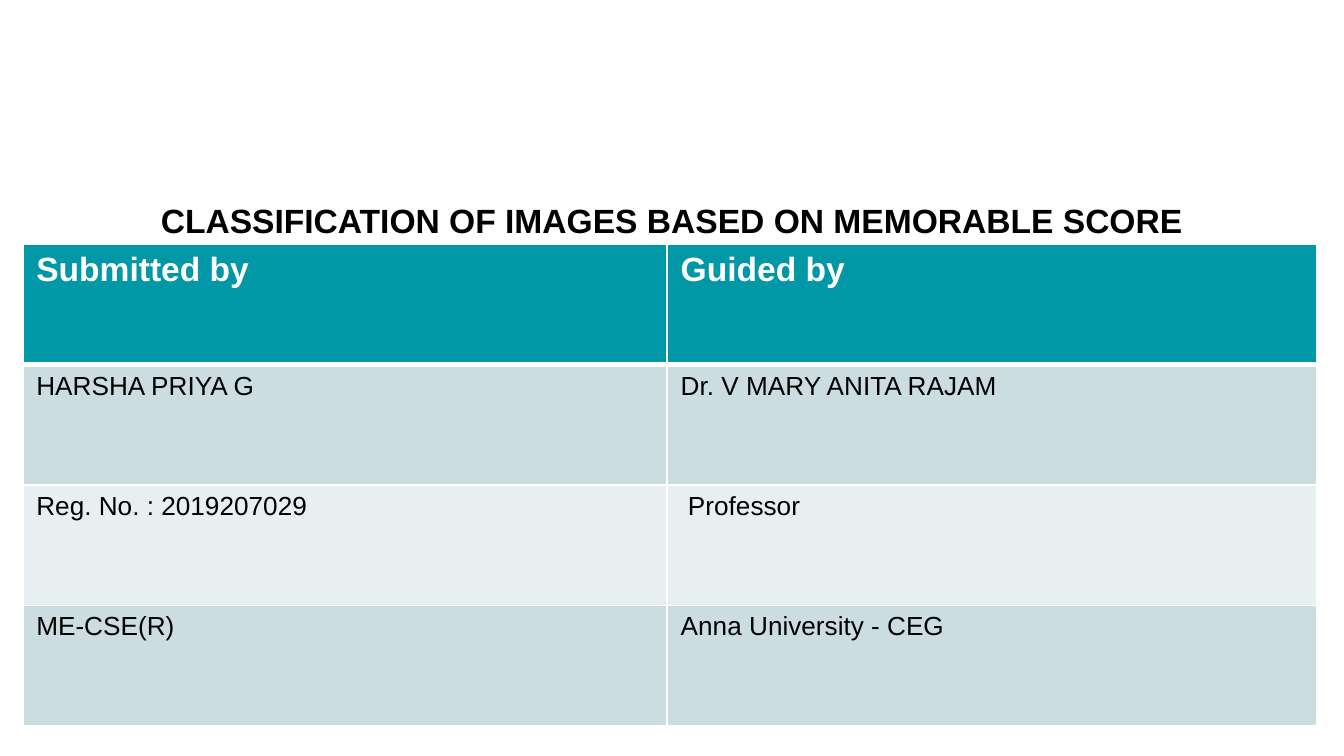
from lxml import etree
from pptx import Presentation
from pptx.dml.color import RGBColor
from pptx.enum.text import MSO_ANCHOR, PP_ALIGN
from pptx.oxml.ns import qn
from pptx.util import Pt

PX = 4572  # EMU per px, 200 px to the inch
WHITE = RGBColor(0xFF, 0xFF, 0xFF)
BLACK = RGBColor(0x00, 0x00, 0x00)
TEAL = RGBColor(0x00, 0x97, 0xA7)
BAND_DARK = RGBColor(0xCC, 0xDD, 0xE1)
BAND_LIGHT = RGBColor(0xE7, 0xEF, 0xF1)
BOTTOM = MSO_ANCHOR.BOTTOM
CENTER = PP_ALIGN.CENTER


class SlideBuilder:
    font = "Arial"

    def __init__(self, prs):
        self.s = prs.slides.add_slide(prs.slide_layouts[6])

    def run(self, p, text, size, color, bold=False):
        r = p.add_run()
        r.text = text
        r.font.name = self.font
        r.font.size = Pt(size)
        r.font.bold = bold
        r.font.color.rgb = color

    def title(self, text, x, y, w, h, bottom_inset):
        sp = self.s.shapes.add_textbox(x * PX, y * PX, w * PX, h * PX)
        tf = sp.text_frame
        tf.word_wrap = True
        tf.vertical_anchor = BOTTOM
        tf.margin_bottom = bottom_inset * PX
        p = tf.paragraphs[0]
        p.alignment = CENTER
        p.line_spacing = 1.15
        self.run(p, text, 18, BLACK, bold=True)

    def border(self, cell, side, width):
        ln = etree.SubElement(cell._tc.get_or_add_tcPr(), qn(f"a:ln{side}"),
                              w=str(Pt(width)))
        fill = etree.SubElement(ln, qn("a:solidFill"))
        etree.SubElement(fill, qn("a:srgbClr"), val=str(WHITE))

    def table(self, rows, x, y, col_widths, row_height):
        frame = self.s.shapes.add_table(
            len(rows), len(col_widths), x * PX, y * PX,
            sum(col_widths) * PX, len(rows) * row_height * PX)
        table = frame.table
        table.first_row = table.horz_banding = False
        for col, width in zip(table.columns, col_widths):
            col.width = width * PX
        for i, texts in enumerate(rows):
            table.rows[i].height = row_height * PX
            header = i == 0
            band = BAND_DARK if i % 2 else BAND_LIGHT
            # A thick rule parts the header from the body
            widths = {"L": 1, "R": 1, "T": 3 if i == 1 else 1,
                      "B": 3 if header else 1}
            for j, text in enumerate(texts):
                cell = table.cell(i, j)
                for side, width in widths.items():
                    self.border(cell, side, width)
                cell.fill.solid()
                cell.fill.fore_color.rgb = TEAL if header else band
                self.run(cell.text_frame.paragraphs[0], text,
                         18 if header else 14,
                         WHITE if header else BLACK, bold=header)


def main():
    prs = Presentation()
    prs.slide_width = 2000 * PX
    prs.slide_height = 1125 * PX
    slide = SlideBuilder(prs)

    # Title
    slide.title("CLASSIFICATION OF IMAGES BASED ON MEMORABLE SCORE",
                68, 162, 1864, 448, bottom_inset=252)

    # Student and guide
    slide.table([
        ("Submitted by", "Guided by"),
        ("HARSHA PRIYA G", "Dr. V MARY ANITA RAJAM"),
        ("Reg. No. : 2019207029", " Professor"),
        ("ME-CSE(R)", "Anna University - CEG"),
    ], 34, 364, (959, 967), 179)

    prs.save("out.pptx")


if __name__ == "__main__":
    main()
